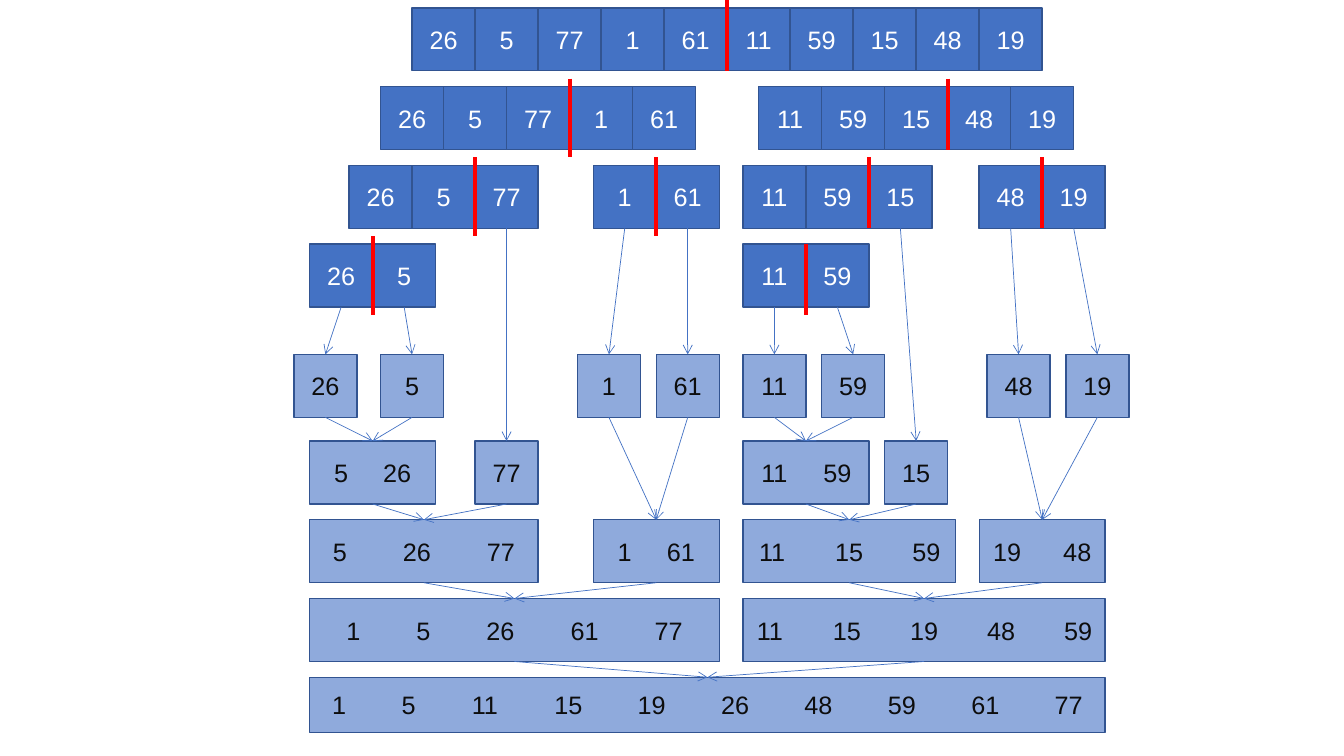
"""Merge sort diagram: arrays split down to single items and merge back in order."""
import dataclasses
import typing

import lxml.etree
import pptx
import pptx.dml.color
import pptx.enum.shapes
import pptx.enum.text
import pptx.oxml.ns
import pptx.util

Spot = tuple[int, int]


@dataclasses.dataclass(frozen=True)
class Theme:
    """Colours, type and line sizes."""
    font: str = "Arial"
    size: float = 18
    split: str = "4472C4"
    merge: str = "8FAADC"
    edge: str = "325491"
    light: str = "FFFFFF"
    dark: str = "0D0D0D"
    cut: str = "FF0000"
    edge_pt: float = 1
    cut_pt: float = 2.75
    arrow_pt: float = 0.5


class Split(typing.NamedTuple):
    """An array of cells with a cut after some of them."""
    row: int
    col: int
    items: list[int]
    cut: int
    rise: int = 1
    drop: int = 9


class Merge(typing.NamedTuple):
    """A sorted block, its gap in digit widths and the blocks it comes from."""
    row: int
    col: int
    wide: int
    items: list[int]
    froms: list[Spot]
    gap: float = 0
    tall: int = 8


THEME = Theme()
CELL = 8
SPAN = 101
ROWS = 96
DIGIT = 0.556

SPLITS = [
    Split(1, 13, [26, 5, 77, 1, 61, 11, 59, 15, 48, 19], 5, drop=8),
    Split(11, 9, [26, 5, 77, 1, 61], 3),
    Split(11, 57, [11, 59, 15, 48, 19], 3, drop=8),
    Split(21, 5, [26, 5, 77], 2),
    Split(21, 36, [1, 61], 1),
    Split(21, 55, [11, 59, 15], 2, drop=8),
    Split(21, 85, [48, 19], 1, drop=8),
    Split(31, 0, [26, 5], 1),
    Split(31, 55, [11, 59], 1, rise=0),
]
MERGES = [
    Merge(45, -2, CELL, [26], [(31, 0)]),
    Merge(45, 9, CELL, [5], [(31, 8)]),
    Merge(45, 34, CELL, [1], [(21, 36)]),
    Merge(45, 44, CELL, [61], [(21, 44)]),
    Merge(45, 55, CELL, [11], [(31, 55)]),
    Merge(45, 65, CELL, [59], [(31, 63)]),
    Merge(45, 86, CELL, [48], [(21, 85)]),
    Merge(45, 96, CELL, [19], [(21, 93)]),
    Merge(56, 0, 16, [5, 26], [(45, -2), (45, 9)], 2.5),
    Merge(56, 21, CELL, [77], [(21, 21)]),
    Merge(56, 55, 16, [11, 59], [(45, 55), (45, 65)], 2.5),
    Merge(56, 73, CELL, [15], [(21, 71)]),
    Merge(66, 0, 29, [5, 26, 77], [(56, 0), (56, 21)], 4),
    Merge(66, 36, 16, [1, 61], [(45, 34), (45, 44)], 2.5),
    Merge(66, 55, 27, [11, 15, 59], [(56, 55), (56, 73)], 3.5),
    Merge(66, 85, 16, [19, 48], [(45, 86), (45, 96)], 3),
    Merge(76, 0, 52, [1, 5, 26, 61, 77], [(66, 0), (66, 36)], 4),
    Merge(76, 55, 46, [11, 15, 19, 48, 59], [(66, 55), (66, 85)], 3.5),
    Merge(86, 0, SPAN, [1, 5, 11, 15, 19, 26, 48, 59, 61, 77],
          [(76, 0), (76, 55)], 3.95, 7),
]

deck = pptx.Presentation()
deck.slide_width = pptx.util.Inches(13.33)
deck.slide_height = pptx.util.Inches(7.5)
slide = deck.slides.add_slide(deck.slide_layouts[6])
UNIT = deck.slide_height / ROWS
LEFT = deck.slide_width / 2 - 46 * UNIT
spots: dict[Spot, typing.Any] = {}


def across(col: float) -> int:
    """Return the place of a grid column."""
    return round(LEFT + col * UNIT)


def down(row: float) -> int:
    """Return the place of a grid row."""
    return round(row * UNIT)


def paint(code: str) -> pptx.dml.color.RGBColor:
    """Return a colour from its hex code."""
    return pptx.dml.color.RGBColor.from_string(code)


def add_tabs(para: typing.Any, items: list[int], wide: int, gap: float) -> None:
    """Centre a row of numbers on tab stops with equal gaps between them."""
    digit = pptx.util.Pt(THEME.size) * DIGIT
    sizes = [len(str(item)) * digit for item in items]
    place = (wide * UNIT - sum(sizes) - gap * digit * (len(items) - 1)) / 2
    props = para._p.get_or_add_pPr()
    stops = lxml.etree.SubElement(props, pptx.oxml.ns.qn("a:tabLst"))
    for size in sizes:
        lxml.etree.SubElement(stops, pptx.oxml.ns.qn("a:tab"),
                              pos=str(round(place + size / 2)), algn="ctr")
        place += size + gap * digit


def add_box(row: int, col: int, wide: int, tall: int, items: list[int],
            fill: str, ink: str, gap: float = 0) -> None:
    """Draw a box of numbers and keep it by its spot."""
    box = slide.shapes.add_shape(
        pptx.enum.shapes.MSO_SHAPE.RECTANGLE, across(col), down(row),
        round(wide * UNIT), round(tall * UNIT))
    box.shadow.inherit = False
    box.fill.solid()
    box.fill.fore_color.rgb = paint(fill)
    box.line.color.rgb = paint(THEME.edge)
    box.line.width = pptx.util.Pt(THEME.edge_pt)
    frame = box.text_frame
    frame.word_wrap = True
    frame.margin_left = frame.margin_right = 0
    frame.vertical_anchor = pptx.enum.text.MSO_ANCHOR.MIDDLE
    para = frame.paragraphs[0]
    align = pptx.enum.text.PP_ALIGN
    if len(items) > 1:
        para.text = "".join(f"\t{item}" for item in items)
        para.alignment = align.LEFT
        add_tabs(para, items, wide, gap)
    else:
        para.text = str(items[0])
        para.alignment = align.CENTER
    for run in para.runs:
        run.font.name = THEME.font
        run.font.size = pptx.util.Pt(THEME.size)
        run.font.color.rgb = paint(ink)
    spots[row, col] = box


def add_line(start: Spot, end: Spot, ink: str, width: float) -> typing.Any:
    """Draw a plain line between two grid spots."""
    line = slide.shapes.add_connector(
        pptx.enum.shapes.MSO_CONNECTOR.STRAIGHT,
        across(start[1]), down(start[0]), across(end[1]), down(end[0]))
    line.line.color.rgb = paint(ink)
    line.line.width = pptx.util.Pt(width)
    lxml.etree.SubElement(line.element.spPr, pptx.oxml.ns.qn("a:effectLst"))
    return line


def add_arrow(start: Spot, end: Spot) -> None:
    """Join the foot of one box to the top of the next."""
    line = add_line(start, end, THEME.split, THEME.arrow_pt)
    line.begin_connect(spots[start], 2)
    line.end_connect(spots[end], 0)
    edge = line.element.spPr.find(pptx.oxml.ns.qn("a:ln"))
    lxml.etree.SubElement(edge, pptx.oxml.ns.qn("a:tailEnd"), type="arrow")


for part in SPLITS:
    for step, item in enumerate(part.items):
        add_box(part.row, part.col + step * CELL, CELL, CELL, [item],
                THEME.split, THEME.light)
    mark = part.col + part.cut * CELL
    add_line((part.row - part.rise, mark), (part.row + part.drop, mark),
             THEME.cut, THEME.cut_pt)
for block in MERGES:
    add_box(block.row, block.col, block.wide, block.tall, block.items,
            THEME.merge, THEME.dark, block.gap)
for block in MERGES:
    for source in block.froms:
        add_arrow(source, (block.row, block.col))

deck.save("out.pptx")
